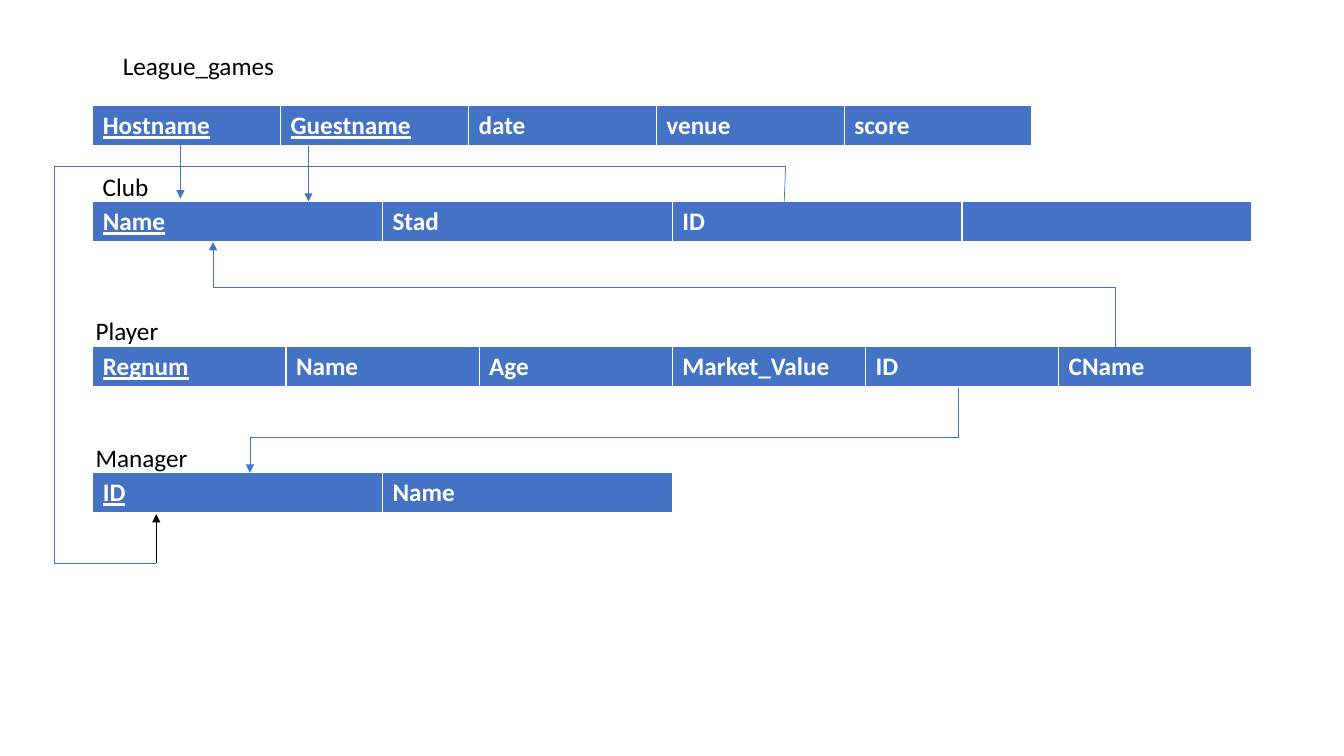
from dataclasses import dataclass
from itertools import pairwise

from lxml import etree
from pptx import Presentation
from pptx.dml.color import RGBColor
from pptx.enum import shapes, text
from pptx.oxml import ns
from pptx.util import Pt


@dataclass(frozen=True)
class Theme:
    blue: str = "4472C4"
    white: str = "FFFFFF"
    black: str = "000000"
    font: str = "Calibri"
    size: float = 18
    line: float = 0.5


THEME = Theme()
TABLE_LEFT = 66.24
ROW_HEIGHT = 29.2

# name, label (left, top, width), table (top, width), key columns, other columns
RELATIONS = [
    ("League_games", (80.64, 32.4, 123.84), (75.6, 671),
     ["Hostname", "Guestname"], ["date", "venue", "score"]),
    ("Club", (66.24, 118.8, 47.52), (144, 828), ["Name"], ["Stad", "ID", ""]),
    ("Player", (61.2, 221.76, 59.76), (247.68, 828),
     ["Regnum"], ["Name", "Age", "Market_Value", "ID", "CName"]),
    ("Manager", (61.2, 312.48, 80.64), (337.68, 414), ["ID"], ["Name"]),
]

# corner points from foreign key to referenced key, colour of the arrow
REFERENCES = [
    ([(128.88, 103.7), (128.88, 141.84)], THEME.blue),
    ([(220.32, 104.4), (220.32, 144)], THEME.blue),
    ([(797.04, 247.68), (797.04, 205.5), (152.2, 205.5), (152.2, 172.8)], THEME.blue),
    ([(684.72, 277.2), (684.72, 312.48), (178.56, 312.48), (178.56, 337.68)], THEME.blue),
    ([(560.16, 144), (561.2, 118.8), (38.88, 118.8), (38.88, 402.48),
      (111.6, 402.48), (111.6, 367.2)], THEME.black),
]


def style_font(font, color):
    font.name = THEME.font
    font.size = Pt(THEME.size)
    font.color.rgb = RGBColor.from_string(color)


def add_label(slide, name, left, top, width):
    box = slide.shapes.add_textbox(Pt(left), Pt(top), Pt(width), Pt(29.08))
    frame = box.text_frame
    frame.word_wrap = False
    frame.auto_size = text.MSO_AUTO_SIZE.SHAPE_TO_FIT_TEXT
    frame.text = name
    style_font(frame.paragraphs[0].font, THEME.black)


def set_borders(cell):
    """Draw white edges, the bottom one thicker."""
    properties = cell._tc.get_or_add_tcPr()
    for position, (side, width) in enumerate([("L", 1), ("R", 1), ("T", 1), ("B", 3)]):
        edge = etree.Element(ns.qn(f"a:ln{side}"), w=str(Pt(width)))
        fill = etree.SubElement(edge, ns.qn("a:solidFill"))
        etree.SubElement(fill, ns.qn("a:srgbClr"), val=THEME.white)
        properties.insert(position, edge)


def add_relation(slide, top, width, keys, others):
    """Draw a one-row table with its key columns underlined."""
    columns = keys + others
    table = slide.shapes.add_table(1, len(columns), Pt(TABLE_LEFT), Pt(top),
                                   Pt(width), Pt(ROW_HEIGHT)).table
    for index, column in enumerate(columns):
        table.columns[index].width = Pt(width / len(columns))
        cell = table.cell(0, index)
        cell.text = column
        cell.fill.solid()
        cell.fill.fore_color.rgb = RGBColor.from_string(THEME.blue)
        set_borders(cell)
        font = cell.text_frame.paragraphs[0].font
        style_font(font, THEME.white)
        font.bold = True
        font.underline = index < len(keys)


def add_line(slide, start, end, color, arrow=False):
    line = slide.shapes.add_connector(shapes.MSO_CONNECTOR.STRAIGHT,
                                      *map(Pt, start + end))
    line.line.width = Pt(THEME.line)
    line.line.color.rgb = RGBColor.from_string(color)
    if arrow:
        etree.SubElement(line.line._get_or_add_ln(), ns.qn("a:tailEnd"), type="triangle")
    etree.SubElement(line._element.spPr, ns.qn("a:effectLst"))


def add_reference(slide, corners, arrow_color):
    *legs, last = pairwise(corners)
    for start, end in legs:
        add_line(slide, start, end, THEME.blue)
    add_line(slide, *last, arrow_color, arrow=True)


def main():
    deck = Presentation()
    deck.slide_width, deck.slide_height = Pt(960), Pt(540)
    slide = deck.slides.add_slide(deck.slide_layouts[6])
    for name, label, table, keys, others in RELATIONS:
        add_relation(slide, *table, keys, others)
        add_label(slide, name, *label)
    for corners, arrow_color in REFERENCES:
        add_reference(slide, corners, arrow_color)
    deck.save("out.pptx")


if __name__ == "__main__":
    main()
